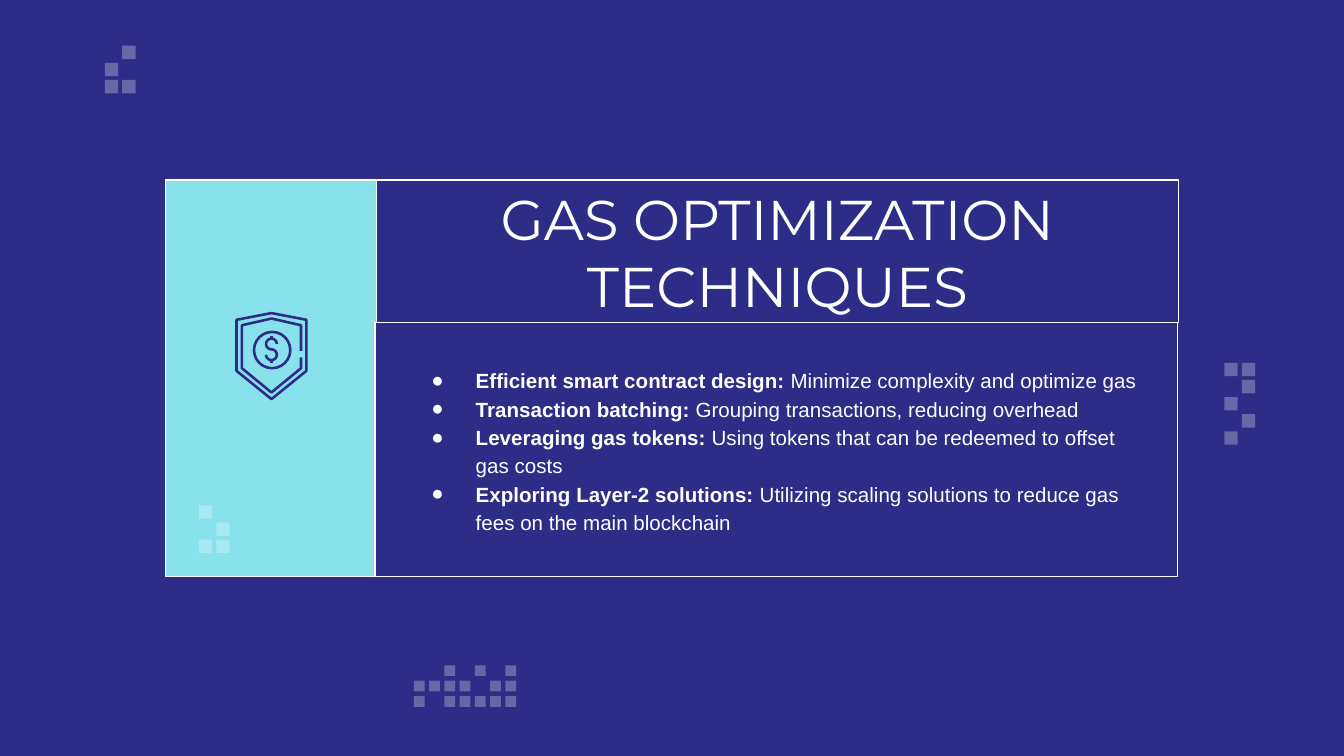
from dataclasses import dataclass
from math import cos, radians, sin

from lxml import etree
from pptx import Presentation
from pptx.dml.color import RGBColor
from pptx.enum.shapes import MSO_SHAPE
from pptx.enum.text import MSO_ANCHOR, PP_ALIGN
from pptx.oxml.ns import qn
from pptx.util import Inches, Pt

NAVY = RGBColor(0x2D, 0x2D, 0x87)
AQUA = RGBColor(0x89, 0xE1, 0xEC)
WHITE = RGBColor(0xFF, 0xFF, 0xFF)
RECTANGLE, OVAL = MSO_SHAPE.RECTANGLE, MSO_SHAPE.OVAL
MIDDLE = MSO_ANCHOR.MIDDLE
LEFT, CENTER = PP_ALIGN.LEFT, PP_ALIGN.CENTER
BLANK_LAYOUT = 6
PIXEL_ALPHA = 28
ICON_LINE = 1.4
BODY_SIZE = 11

Point = tuple[float, float]


@dataclass
class PixelCluster:
    left: float
    top: float
    rows: tuple[str, ...]
    column_pitch: float = 0.13
    row_pitch: float = 0.51 / 4
    size: float = 0.1


@dataclass
class Panel:
    left: float
    top: float
    width: float
    height: float
    fill: RGBColor


@dataclass
class Technique:
    name: str
    detail: str


PAGE_CLUSTERS = (
    PixelCluster(9.11, 2.7, ("##", ".#", "#.", ".#", "#.")),
    PixelCluster(0.78, 0.34, (".#", "#.", "##")),
    PixelCluster(3.08, 4.95, ("..#.#.#", "####.##", "#.#####"),
                 0.34 / 3, 0.23 / 2, 0.08),
)
CARD_CLUSTER = PixelCluster(1.48, 3.76, ("#.", ".#", "##"))

ICON_PANEL = Panel(1.23, 1.34, 1.57, 2.95, AQUA)
TITLE_PANEL = Panel(2.8, 1.34, 5.97, 1.06, NAVY)
BODY_PANEL = Panel(2.79, 2.4, 5.97, 1.89, NAVY)

TECHNIQUES = (
    Technique("Efficient smart contract design:",
              "Minimize complexity and optimize gas"),
    Technique("Transaction batching:",
              "Grouping transactions, reducing overhead"),
    Technique("Leveraging gas tokens:",
              "Using tokens that can be redeemed to offset gas costs"),
    Technique("Exploring Layer-2 solutions:",
              "Utilizing scaling solutions to reduce gas fees on the main blockchain"),
)

OUTER_SHIELD = [(2.02, 2.33), (2.28, 2.38), (2.28, 2.76),
                (2.02, 2.97), (1.76, 2.76), (1.76, 2.38)]
INNER_SHIELD = [(2.24, 2.61), (2.24, 2.42), (2.02, 2.37), (1.8, 2.42),
                (1.8, 2.74), (2.02, 2.92), (2.24, 2.74), (2.24, 2.66)]


def add_box(shapes, kind, left: float, top: float, width: float, height: float):
    shape = shapes.add_shape(kind, Inches(left), Inches(top),
                             Inches(width), Inches(height))
    shape.shadow.inherit = False
    return shape


def add_pixels(shapes, cluster: PixelCluster) -> None:
    group = shapes.add_group_shape()
    for row, cells in enumerate(cluster.rows):
        for column, cell in enumerate(cells):
            if cell != "#":
                continue
            pixel = add_box(group.shapes, RECTANGLE,
                            cluster.left + column * cluster.column_pitch,
                            cluster.top + row * cluster.row_pitch,
                            cluster.size, cluster.size)
            pixel.fill.solid()
            pixel.fill.fore_color.rgb = WHITE
            pixel.line.fill.background()
            color = pixel._element.spPr.find(qn("a:solidFill"))[0]
            etree.SubElement(color, qn("a:alpha"), val=str(PIXEL_ALPHA * 1000))


def add_panel(shapes, panel: Panel):
    shape = add_box(shapes, RECTANGLE, panel.left, panel.top,
                    panel.width, panel.height)
    shape.fill.solid()
    shape.fill.fore_color.rgb = panel.fill
    shape.line.color.rgb = WHITE
    shape.line.width = Pt(0.75)
    frame = shape.text_frame
    frame.word_wrap = True
    frame.vertical_anchor = MIDDLE
    frame.margin_left = frame.margin_right = Inches(0.25)
    frame.margin_top = frame.margin_bottom = Inches(0.25)
    return shape


def style_font(paragraph, name: str, size: float) -> None:
    paragraph.font.name = name
    paragraph.font.size = Pt(size)
    paragraph.font.color.rgb = WHITE


def add_bullet(paragraph) -> None:
    properties = paragraph._p.get_or_add_pPr()
    properties.set("marL", str(Inches(0.5)))
    properties.set("indent", str(Inches(-0.33)))
    color = etree.SubElement(properties, qn("a:buClr"))
    etree.SubElement(color, qn("a:srgbClr"), val=str(WHITE))
    etree.SubElement(properties, qn("a:buSzPts"), val=str(BODY_SIZE * 100))
    etree.SubElement(properties, qn("a:buFont"), typeface="Arial")
    etree.SubElement(properties, qn("a:buChar"), char="●")


def outline(shape) -> None:
    shape.shadow.inherit = False
    shape.fill.background()
    shape.line.color.rgb = NAVY
    shape.line.width = Pt(ICON_LINE)


def add_stroke(shapes, points: list[Point], close: bool = False) -> None:
    corners = [(Inches(x), Inches(y)) for x, y in points]
    builder = shapes.build_freeform(*corners[0])
    builder.add_line_segments(corners[1:], close=close)
    outline(builder.convert_to_shape())


def arc(center_y: float, angles: range) -> list[Point]:
    return [(2.02 + 0.04 * cos(radians(angle)),
             center_y - 0.04 * sin(radians(angle))) for angle in angles]


def add_shield_icon(shapes) -> None:
    group = shapes.add_group_shape()
    add_stroke(group.shapes, OUTER_SHIELD, close=True)
    add_stroke(group.shapes, INNER_SHIELD)
    outline(add_box(group.shapes, OVAL, 1.89, 2.47, 0.27, 0.27))
    # Dollar sign: two bowls and two short stems
    add_stroke(group.shapes, arc(2.56, range(0, 271, 15))
               + arc(2.64, range(90, -181, -15)))
    for top, bottom in ((2.5, 2.52), (2.68, 2.7)):
        add_stroke(group.shapes, [(2.02, top), (2.02, bottom)])


def main() -> None:
    # A 16:9 page
    presentation = Presentation()
    presentation.slide_width = Inches(10)
    presentation.slide_height = Inches(10 * 9 / 16)
    slide = presentation.slides.add_slide(presentation.slide_layouts[BLANK_LAYOUT])
    slide.background.fill.solid()
    slide.background.fill.fore_color.rgb = NAVY
    shapes = slide.shapes

    # Page decoration
    for cluster in PAGE_CLUSTERS:
        add_pixels(shapes, cluster)

    # Icon panel and title
    add_panel(shapes, ICON_PANEL)
    title = add_panel(shapes, TITLE_PANEL).text_frame.paragraphs[0]
    title.text = "GAS OPTIMIZATION TECHNIQUES"
    title.alignment = CENTER
    style_font(title, "Montserrat", 30)

    # Techniques list
    frame = add_panel(shapes, BODY_PANEL).text_frame
    for index, technique in enumerate(TECHNIQUES):
        paragraph = frame.add_paragraph() if index else frame.paragraphs[0]
        paragraph.alignment = LEFT
        paragraph.line_spacing = 1.15
        add_bullet(paragraph)
        style_font(paragraph, "Arial", BODY_SIZE)
        name = paragraph.add_run()
        name.text = technique.name
        name.font.bold = True
        paragraph.add_run().text = f" {technique.detail}"

    # Icon panel details
    add_pixels(shapes, CARD_CLUSTER)
    add_shield_icon(shapes)

    presentation.save("out.pptx")


if __name__ == "__main__":
    main()
